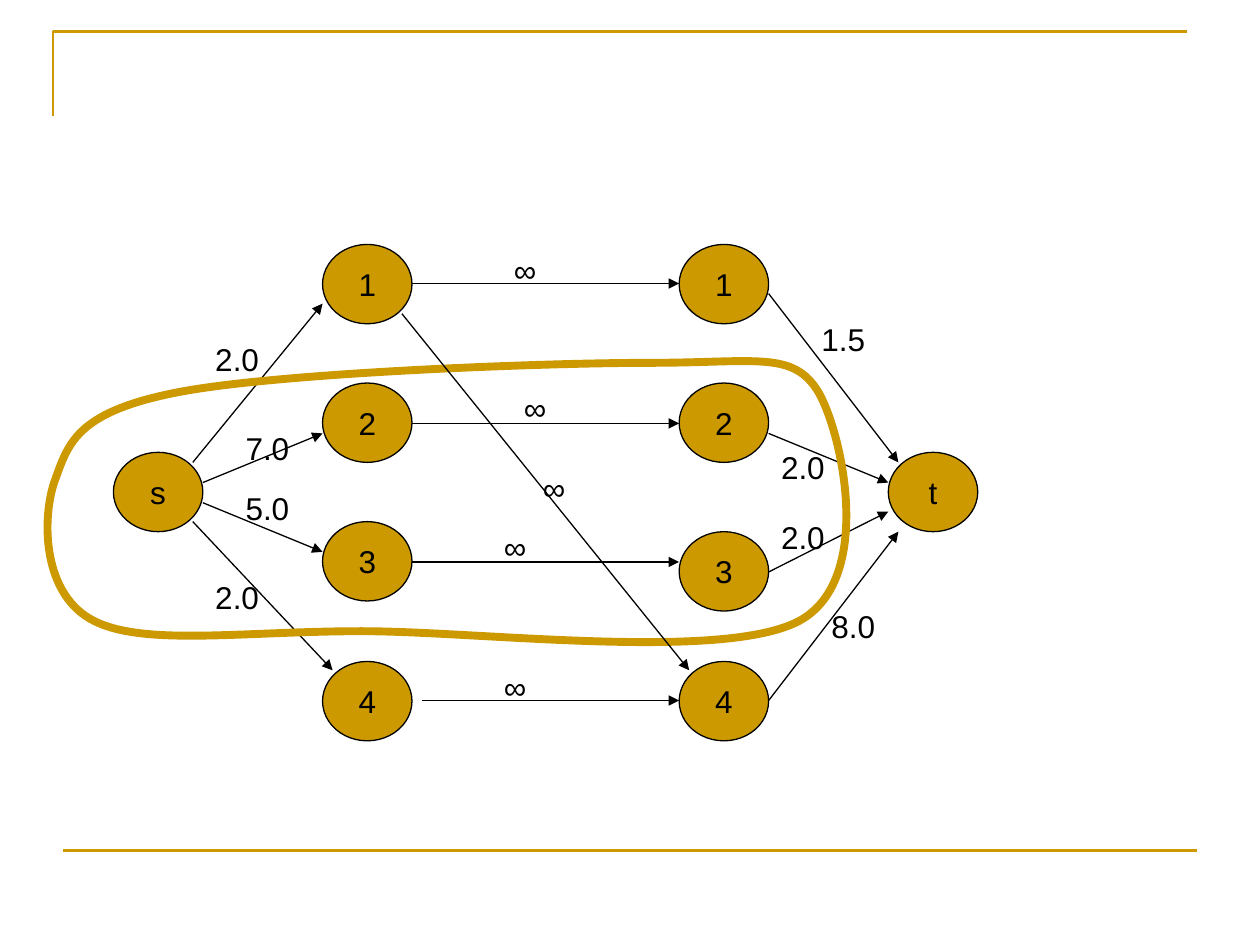
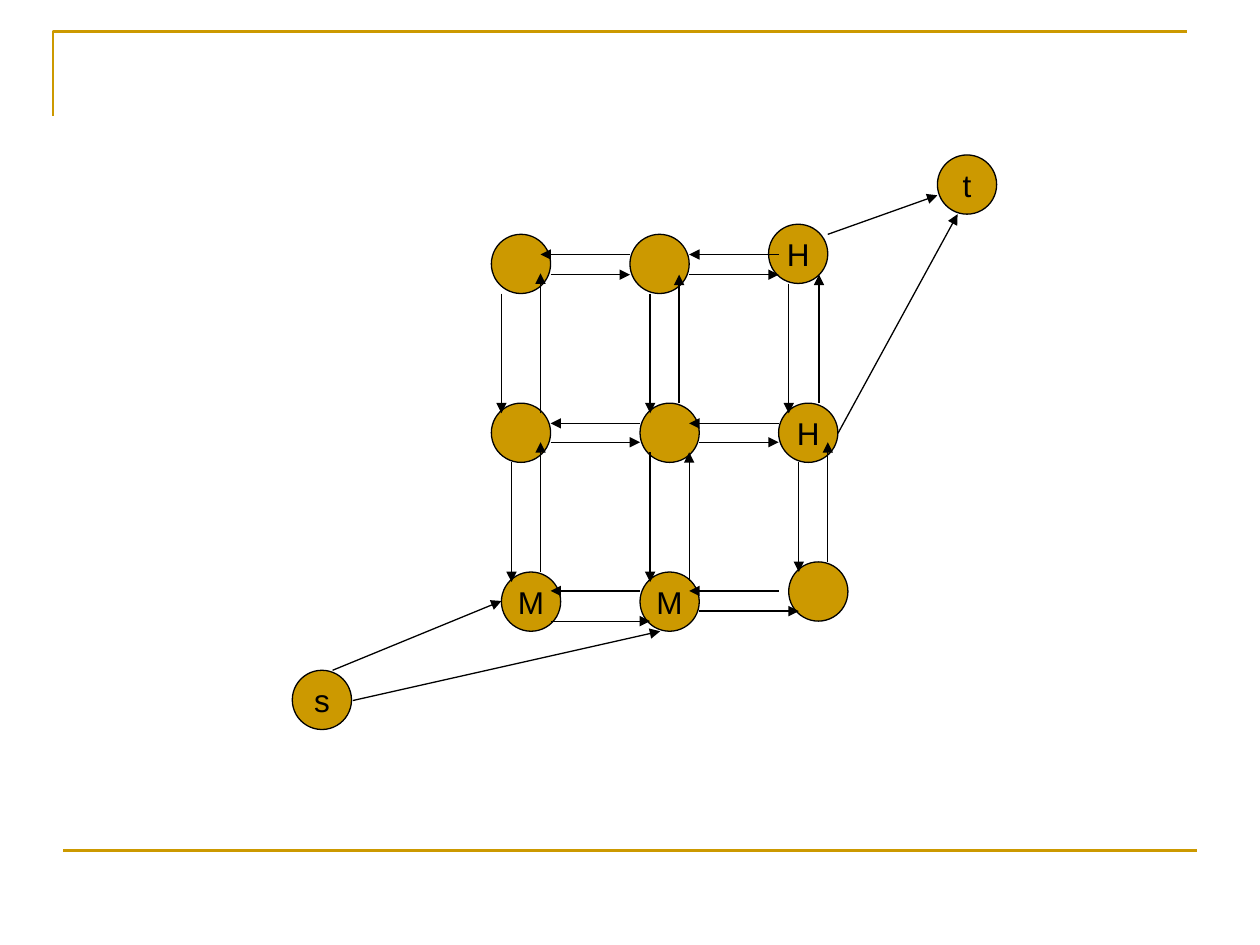
from dataclasses import dataclass
from typing import NamedTuple

from lxml import etree
from pptx import Presentation
from pptx import util as u
from pptx.dml import color
from pptx.enum import shapes, text
from pptx.oxml import ns

SCALE = 9144  # EMU in one px, 100 px to the inch


@dataclass(frozen=True)
class Theme:
    gold: color.RGBColor = color.RGBColor(0xCC, 0x99, 0x00)
    ink: color.RGBColor = color.RGBColor(0, 0, 0)
    font: str = "Arial"
    size: float = 18
    thin: float = 0.75
    rule: float = 1.5
    cut: float = 4.5


THEME = Theme()


class Node(NamedTuple):
    x: int
    y: int
    name: str = ""


class Edge(NamedTuple):
    x1: int
    y1: int
    x2: int
    y2: int


class Label(NamedTuple):
    x: int
    y: int
    value: str
    width: int = 55


def px(value: int) -> u.Emu:
    return u.Emu(value * SCALE)


def write(frame, words: str) -> None:
    frame.text = words
    font = frame.paragraphs[0].runs[0].font
    font.name, font.size = THEME.font, u.Pt(THEME.size)
    font.color.rgb = THEME.ink


def stroke(line, tint: color.RGBColor, width: float) -> None:
    line.color.rgb = tint
    line.width = u.Pt(width)


def draw_node(slide, node: Node, width: int, height: int) -> None:
    oval = slide.shapes.add_shape(shapes.MSO_SHAPE.OVAL, px(node.x), px(node.y),
                                  px(width), px(height))
    oval.shadow.inherit = False
    oval.fill.solid()
    oval.fill.fore_color.rgb = THEME.gold
    stroke(oval.line, THEME.ink, THEME.thin)
    if node.name:
        frame = oval.text_frame
        frame.word_wrap = False
        frame.vertical_anchor = text.MSO_ANCHOR.MIDDLE
        write(frame, node.name)
        frame.paragraphs[0].alignment = text.PP_ALIGN.CENTER


def draw_line(slide, edge: Edge, tint: color.RGBColor, width: float):
    line = slide.shapes.add_connector(shapes.MSO_CONNECTOR.STRAIGHT, *map(px, edge))
    stroke(line.line, tint, width)
    etree.SubElement(line._element.spPr, ns.qn("a:effectLst"))
    return line


def draw_arrow(slide, edge: Edge) -> None:
    line = draw_line(slide, edge, THEME.ink, THEME.thin)
    ln = line._element.spPr.find(ns.qn("a:ln"))
    etree.SubElement(ln, ns.qn("a:tailEnd"), type="triangle")


def draw_label(slide, label: Label) -> None:
    box = slide.shapes.add_textbox(px(label.x), px(label.y), px(label.width), px(40))
    frame = box.text_frame
    frame.word_wrap = True
    frame.auto_size = text.MSO_AUTO_SIZE.SHAPE_TO_FIT_TEXT
    write(frame, label.value)


def draw_path(slide, points: list, width: float, close: bool = False):
    first, *rest = points
    pen = slide.shapes.build_freeform(*first, scale=float(SCALE))
    pen.add_line_segments(rest, close=close)
    path = pen.convert_to_shape()
    path.shadow.inherit = False
    path.fill.background()
    stroke(path.line, THEME.gold, width)
    return path


def bend(path) -> None:
    """Turn each three line segments of an outline into one cubic curve."""
    lines = list(path._element.iter(ns.qn("a:lnTo")))
    for i in range(0, len(lines), 3):
        curve = etree.Element(ns.qn("a:cubicBezTo"))
        lines[i].addprevious(curve)
        for line in lines[i:i + 3]:
            curve.append(line[0])
            line.getparent().remove(line)


def frame_layout(deck, slide) -> None:
    """Put the gold corner and foot rule on the blank layout."""
    tree = deck.slide_layouts[6].shapes
    for holder in list(tree):
        holder._element.getparent().remove(holder._element)
    corner = draw_path(slide, [(42, 92), (42, 25), (942, 25)], THEME.rule)
    foot = draw_line(slide, Edge(50, 675, 950, 675), THEME.gold, THEME.rule)
    for part in (corner, foot):
        tree._spTree.append(part._element)


def draw_cut(slide) -> None:
    """Flow network with a loop around the source side of the cut."""
    left, right = (194, 304, 414, 525), (194, 304, 422, 525)
    nodes = [Node(x, y, str(i)) for x, rows in ((256, left), (539, right))
             for i, y in enumerate(rows, 1)]
    for node in nodes + [Node(90, 359, "s"), Node(705, 359, "t")]:
        draw_node(slide, node, 71, 63)

    source = [Edge(153, 367, 256, 241), Edge(161, 383, 256, 344),
              Edge(161, 399, 256, 438), Edge(153, 414, 264, 532)]
    sink = [Edge(610, 233, 713, 367), Edge(610, 344, 705, 383),
            Edge(610, 454, 705, 406), Edge(610, 556, 713, 422)]
    match = [Edge(x, y, 539, y)
             for x, y in ((327, 225), (327, 336), (327, 446), (335, 556))]
    for edge in source + sink + match:
        draw_arrow(slide, edge)

    loop = [(43, 383), (54, 353), (59, 328), (138, 312),
            (216, 296), (431, 288), (516, 288), (601, 288), (630, 278), (650, 312),
            (669, 346), (694, 461), (634, 493), (573, 525), (381, 501), (287, 501),
            (194, 501), (115, 513), (75, 493), (34, 473), (33, 413), (43, 383)]
    bend(draw_path(slide, loop, THEME.cut, close=True))

    costs = [Label(161, 265, "2.0"), Label(185, 336, "7.0"),
             Label(185, 383, "5.0"), Label(161, 454, "2.0"),
             Label(650, 477, "8.0"), Label(610, 351, "2.0"),
             Label(610, 406, "2.0"), Label(642, 249, "1.5")]
    for label in costs:
        draw_label(slide, label)
    draw_arrow(slide, Edge(319, 249, 547, 532))
    for x, y in ((398, 194), (406, 304), (390, 414), (390, 525), (421, 367)):
        draw_label(slide, Label(x, y, "∞", 63))


def draw_grid(slide) -> None:
    """Grid of nodes joined both ways, with a source and a sink."""
    nodes = [Node(390, 320), Node(508, 320), Node(618, 320, "H"),
             Node(390, 186), Node(500, 186), Node(610, 178, "H"),
             Node(398, 454, "M"), Node(508, 454, "M"), Node(626, 446),
             Node(232, 532, "s"), Node(744, 123, "t")]
    for node in nodes:
        draw_node(slide, node, 47, 47)

    across = {493: [(437, 516)], 351: [(437, 508), (555, 618)], 485: [(555, 634)],
              218: [(547, 618), (437, 500)], 202: [(500, 429), (618, 547)],
              336: [(508, 437), (618, 547)], 469: [(508, 437), (618, 547)]}
    down = {398: [(233, 328)], 634: [(367, 454)], 516: [(359, 462), (233, 328)],
            406: [(367, 462)], 626: [(225, 328)], 429: [(328, 217), (454, 351)],
            539: [(320, 218)], 650: [(320, 218)], 657: [(446, 351)],
            547: [(461, 359)]}
    edges = [Edge(a, y, b, y) for y, spans in across.items() for a, b in spans]
    edges += [Edge(x, a, x, b) for x, spans in down.items() for a, b in spans]
    edges += [Edge(264, 532, 398, 477), Edge(280, 556, 524, 501),
              Edge(657, 186, 744, 155), Edge(665, 344, 760, 170)]
    for edge in edges:
        draw_arrow(slide, edge)


def main() -> None:
    deck = Presentation()
    deck.slide_width, deck.slide_height = px(1000), px(750)
    blank = deck.slide_layouts[6]
    cut, grid = (deck.slides.add_slide(blank) for _ in range(2))
    frame_layout(deck, cut)
    draw_cut(cut)
    draw_grid(grid)
    deck.save("out.pptx")


if __name__ == "__main__":
    main()
